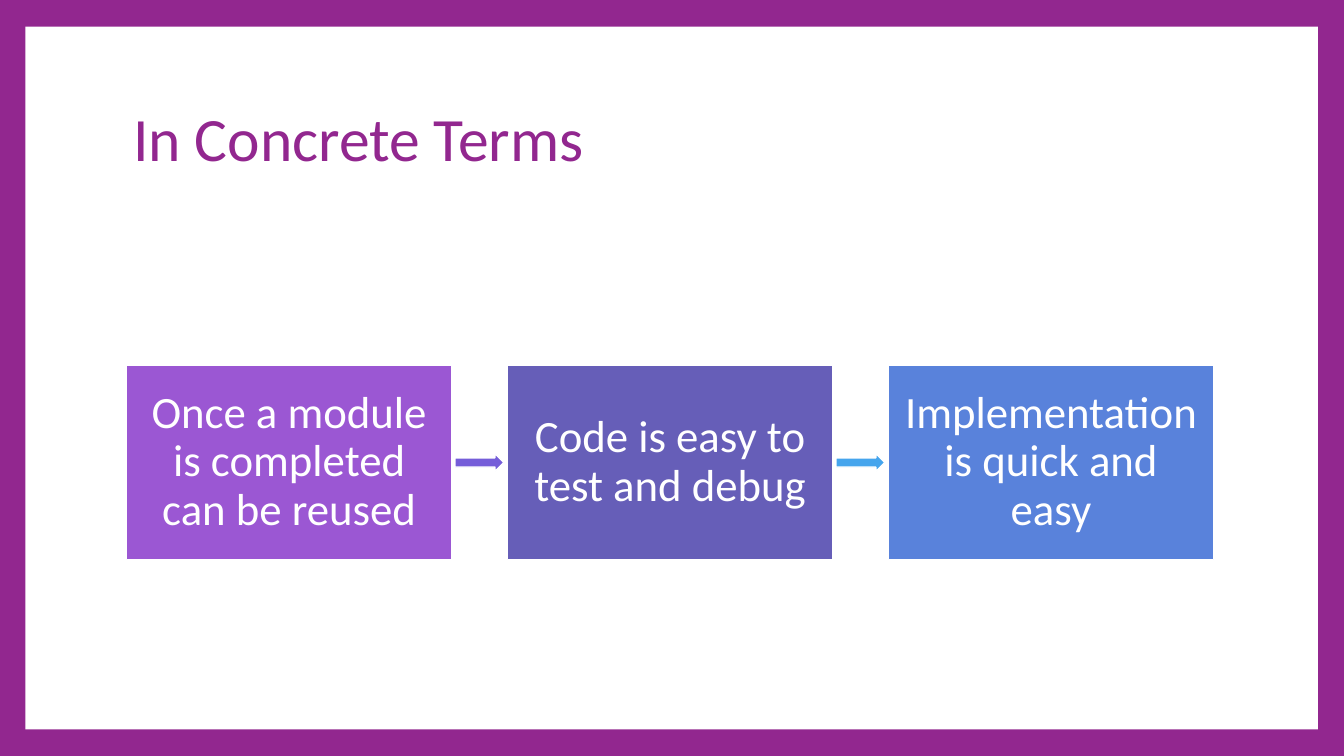
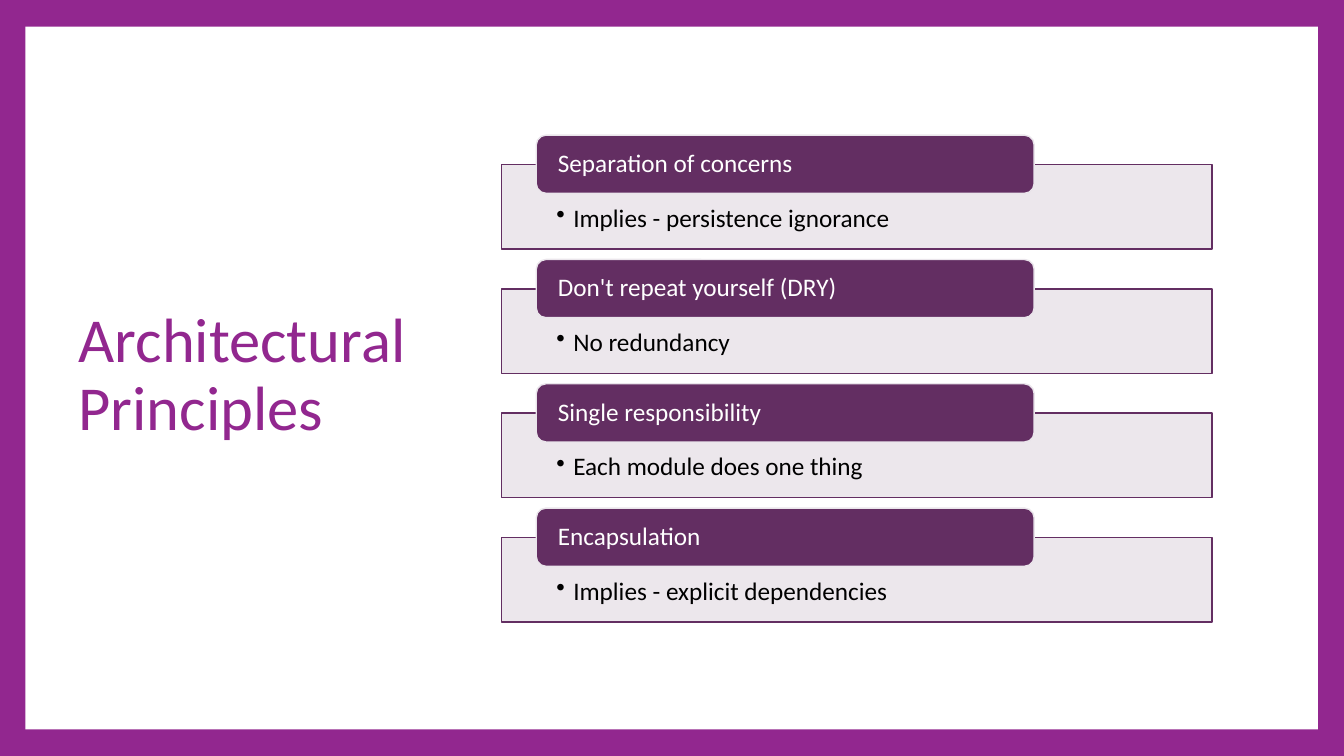
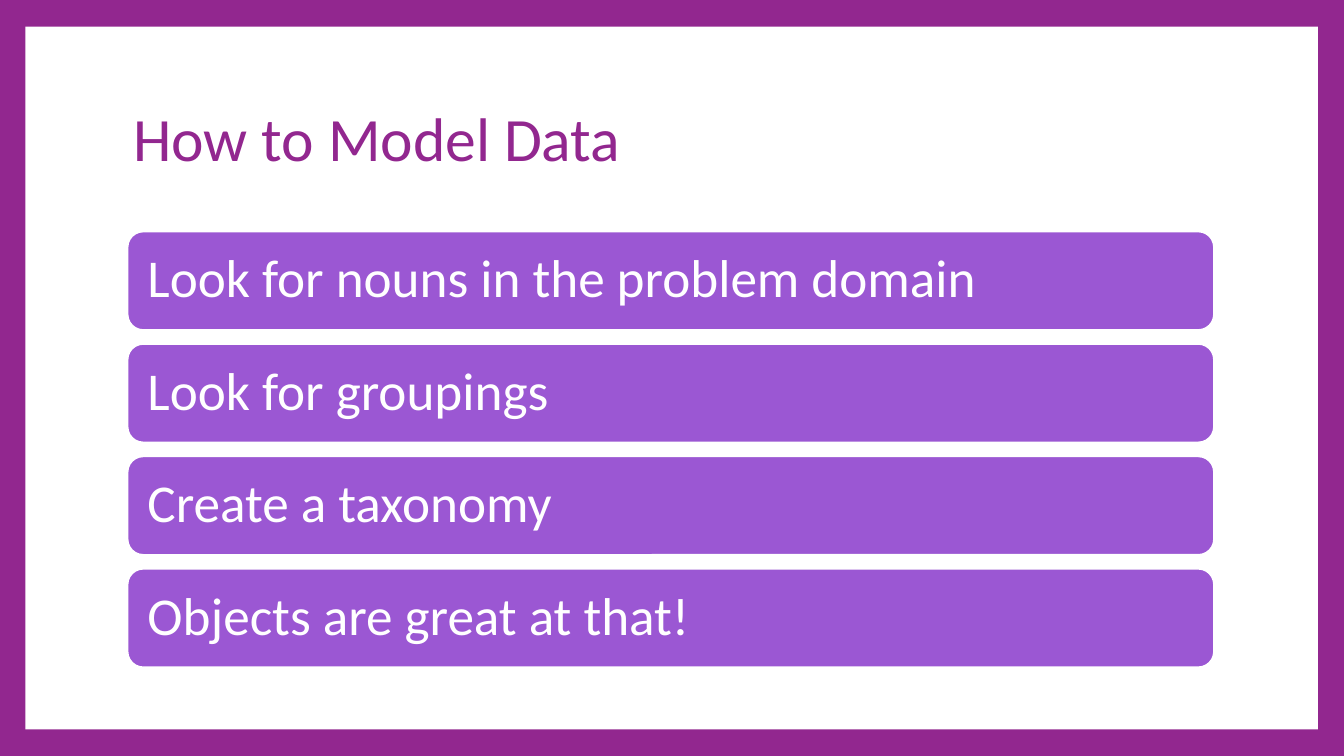
from pptx import Presentation
from pptx import util as u
from pptx.dml.color import RGBColor
from pptx.enum import shapes, text
from pptx.oxml.ns import qn
from lxml import etree

HUES = {
    "plum": "92278F", "white": "FFFFFF", "black": "000000",
    "violet": "9B57D3", "indigo": "665EB8", "blue": "5982DB",
    "iris": "755DD9", "sky": "45A5ED", "grape": "632E62", "mist": "EAE5EB",
}
KIND = shapes.MSO_SHAPE
LEFT, MID = text.PP_ALIGN.LEFT, text.PP_ALIGN.CENTER


def block(slide, kind, box, fill, edge, width):
    shape = slide.shapes.add_shape(kind, *[u.Cm(n) for n in box])
    shape.shadow.inherit = False
    shape.fill.solid()
    shape.fill.fore_color.rgb = RGBColor.from_string(HUES[fill])
    shape.line.color.rgb = RGBColor.from_string(HUES[edge])
    shape.line.width = u.Pt(width)
    return shape


def write(shape, words, size, hue, align=LEFT, pads=(0.25, 0.13, 0.25, 0.13)):
    frame = shape.text_frame
    frame.word_wrap = True
    frame.auto_size = text.MSO_AUTO_SIZE.NONE
    frame.vertical_anchor = text.MSO_ANCHOR.MIDDLE
    frame.margin_left, frame.margin_top, frame.margin_right, frame.margin_bottom = [
        u.Cm(n) for n in pads]
    para = frame.paragraphs[0]
    para.alignment = align
    para.line_spacing = 0.9
    run = para.add_run()
    run.text = words
    run.font.name = "Calibri"
    run.font.size = u.Pt(size)
    run.font.color.rgb = RGBColor.from_string(HUES[hue])
    return frame


deck = Presentation()
deck.slide_width, deck.slide_height = u.Cm(50.8), u.Cm(28.58)
master = deck.slide_master
master.background.fill.solid()
master.background.fill.fore_color.rgb = RGBColor.from_string(HUES["plum"])

wide = (4.78, 2.54, 41.15, 5.66)
side = (2.72, 2.54, 14.02, 23.37)
slides = []
for words, box, size in [
    ("In Concrete Terms", wide, 66),
    ("Architectural Principles", side, 67),
    ("How to Model Data", wide, 66),
]:
    slide = deck.slides.add_slide(deck.slide_layouts[5])
    title = slide.shapes.title
    title.left, title.top, title.width, title.height = [u.Cm(n) for n in box]
    write(title, words, size, "plum")
    slides.append(slide)
terms, rules, model = slides

panel = block(terms, KIND.RECTANGLE, (0.96, 1.01, 48.85, 26.57), "white", "white", 1)
panel.line.fill.background()
panel.element.nvSpPr.cNvPr.set("id", "20")
master.shapes.element.insert(2, panel.element)

for i, (words, fill) in enumerate([
    ("Once a module is completed can be reused", "violet"),
    ("Code is easy to test and debug", "indigo"),
    ("Implementation is quick and easy", "blue"),
]):
    step = block(terms, KIND.RECTANGLE, (4.78 + 14.4 * i, 13.8, 12.3, 7.36), fill, "white", 1.5)
    write(step, words, 48, "white", MID, (0.43,) * 4)
for i, fill in enumerate(["iris", "sky"]):
    block(terms, KIND.RIGHT_ARROW, (17.2 + 14.4 * i, 17.14, 1.85, 0.69), fill, "white", 1.5)

for i, (head, note) in enumerate([
    ("Separation of concerns", "Implies - persistence ignorance"),
    ("Don't repeat yourself (DRY)", "No redundancy"),
    ("Single responsibility", "Each module does one thing"),
    ("Encapsulation", "Implies - explicit dependencies"),
]):
    drop = 4.7 * i
    card = block(rules, KIND.RECTANGLE, (18.95, 6.22 + drop, 26.87, 3.2), "mist", "grape", 1.5)
    tint = card.element.spPr.find(qn("a:solidFill"))[0]
    etree.SubElement(tint, qn("a:alpha"), val="90000")
    frame = write(card, note, 27, "black", LEFT, (2.08, 1.55, 2.08, 0.53))
    frame.vertical_anchor = text.MSO_ANCHOR.TOP
    props = frame.paragraphs[0]._p.get_or_add_pPr()
    props.set("marL", str(u.Cm(0.64)))
    props.set("indent", str(-u.Cm(0.64)))
    etree.SubElement(props, qn("a:buChar"), char="•")
    label = block(rules, KIND.ROUNDED_RECTANGLE, (20.27, 5.11 + drop, 18.82, 2.2), "grape", "mist", 1.5)
    write(label, head, 27, "white", LEFT, (0.71, 0, 0.71, 0))

for i, words in enumerate([
    "Look for nouns in the problem domain",
    "Look for groupings",
    "Create a taxonomy",
    "Objects are great at that!",
]):
    bar = block(model, KIND.ROUNDED_RECTANGLE, (4.78, 8.71 + 4.25 * i, 41.15, 3.81), "violet", "white", 4.25)
    write(bar, words, 57, "white", LEFT, (0.61,) * 4)

deck.save("out.pptx")
